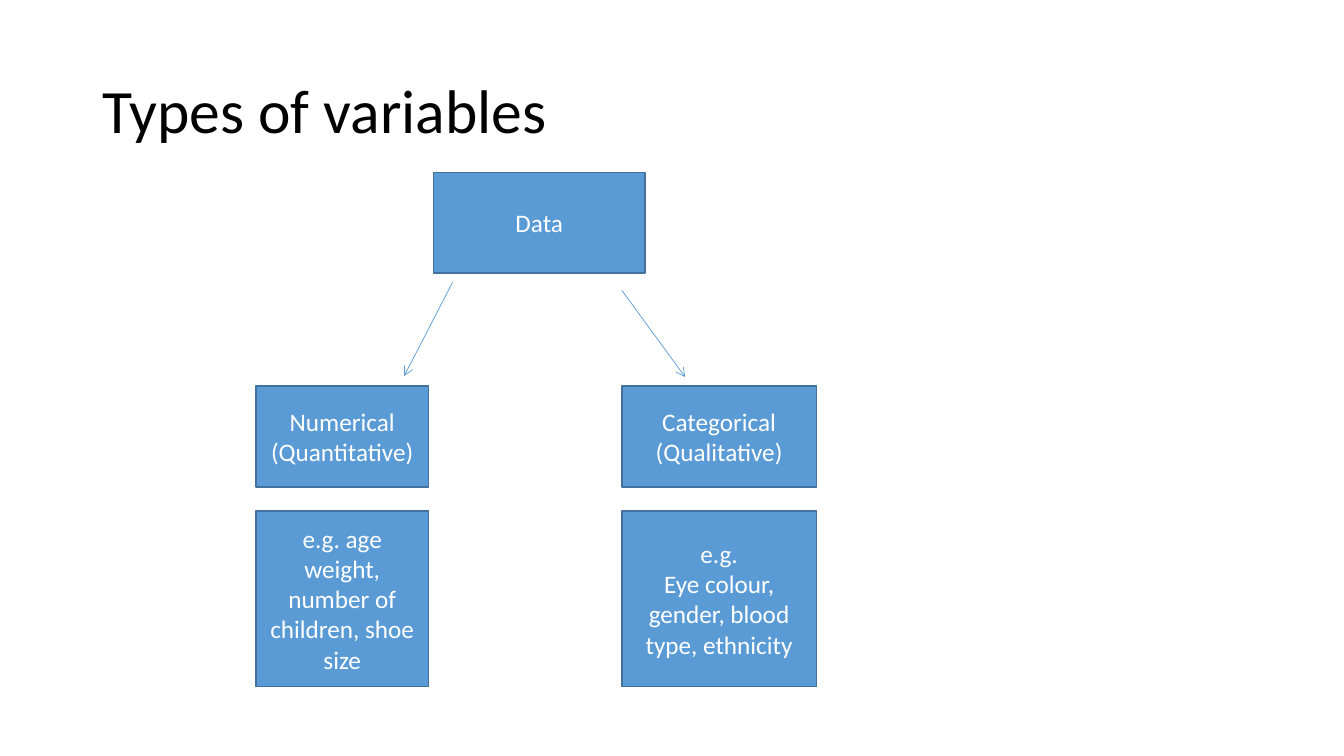
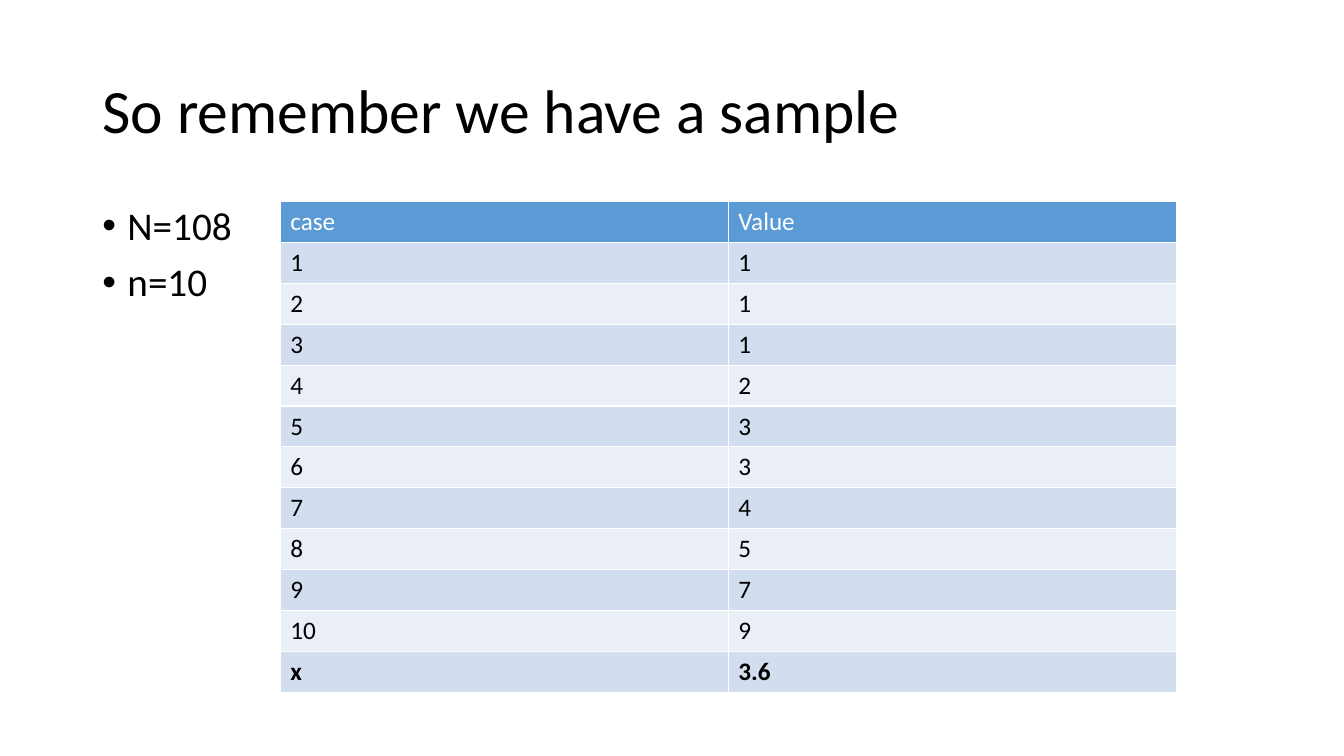
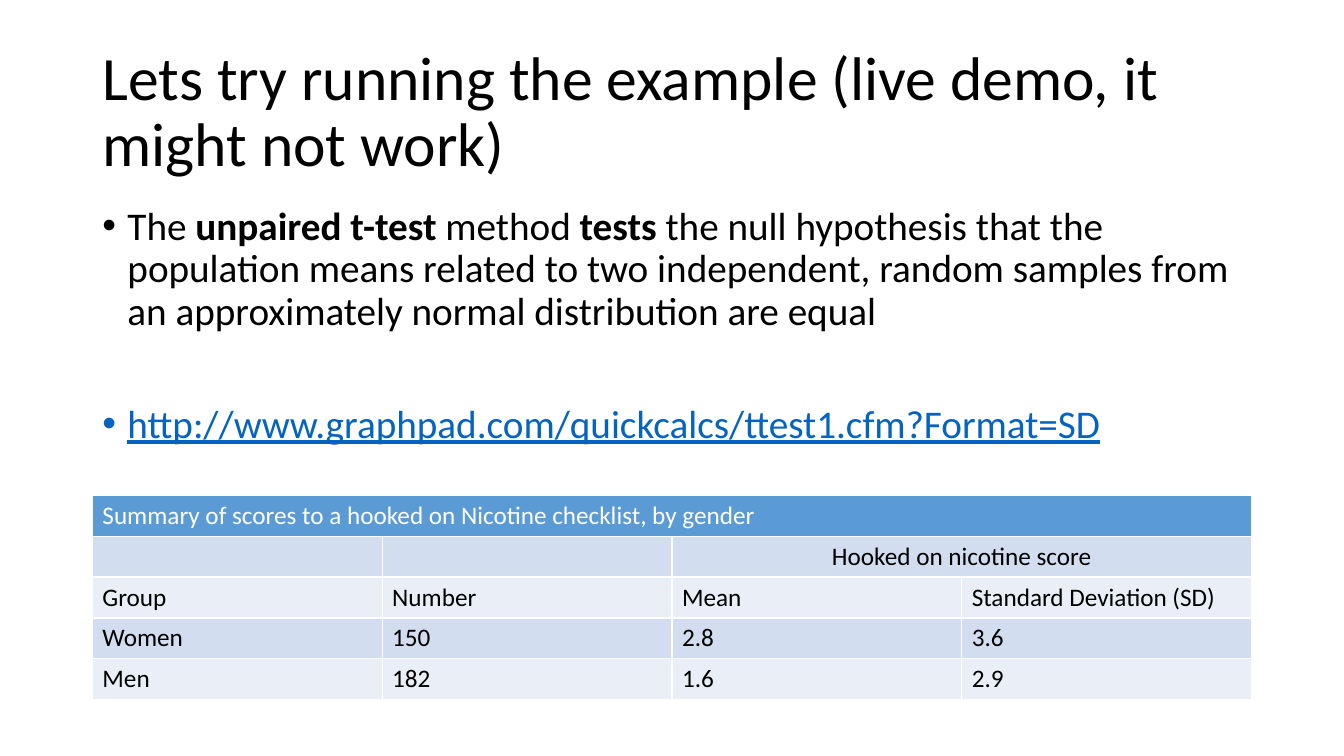
from dataclasses import dataclass

from lxml import etree
from pptx import Presentation
from pptx.dml.color import RGBColor
from pptx.enum import shapes, text
from pptx.oxml.ns import qn
from pptx.util import Pt


@dataclass(frozen=True)
class Theme:
    font: str = "Calibri"
    black: str = "000000"
    white: str = "FFFFFF"
    accent: str = "5B9BD5"
    outline: str = "41719C"
    link: str = "0563C1"
    bands: tuple = ("D2DEEF", "EAEFF7")
    title_size: float = 44
    body_size: float = 28
    small_size: float = 18
    line_spacing: float = 0.9
    left: float = 66
    width: float = 828
    row_height: float = 29.2


THEME = Theme()


def rgb(value):
    return RGBColor.from_string(value)


def style_run(run, size, color, bold=False, underline=False):
    font = run.font
    font.name, font.size = THEME.font, Pt(size)
    font.color.rgb = rgb(color)
    font.bold, font.underline = bold, underline


def style_frame(text_frame, size, color, align, bold=False):
    for paragraph in text_frame.paragraphs:
        paragraph.alignment = align
        for run in paragraph.runs:
            style_run(run, size, color, bold)


# Slide with its title
def add_slide(presentation, title_text):
    slide = presentation.slides.add_slide(presentation.slide_layouts[5])
    title = slide.shapes.title
    title.left, title.top = Pt(THEME.left), Pt(28.8)
    title.width, title.height = Pt(THEME.width), Pt(104.4)
    text_frame = title.text_frame
    text_frame.text = title_text
    text_frame.word_wrap = True
    text_frame.auto_size = text.MSO_AUTO_SIZE.NONE
    text_frame.vertical_anchor = text.MSO_ANCHOR.MIDDLE
    text_frame.paragraphs[0].line_spacing = THEME.line_spacing
    style_frame(text_frame, THEME.title_size, THEME.black, text.PP_ALIGN.LEFT)
    return slide


# Diagram parts
def add_box(slide, label, left, top, width, height):
    shape = slide.shapes.add_shape(
        shapes.MSO_SHAPE.RECTANGLE, Pt(left), Pt(top), Pt(width), Pt(height))
    shape.shadow.inherit = False
    shape.fill.solid()
    shape.fill.fore_color.rgb = rgb(THEME.accent)
    shape.line.color.rgb = rgb(THEME.outline)
    shape.line.width = Pt(1)
    shape.text_frame.text = label
    shape.text_frame.word_wrap = True
    style_frame(shape.text_frame, THEME.small_size, THEME.white, text.PP_ALIGN.CENTER)


def add_arrow(slide, start, end):
    connector = slide.shapes.add_connector(
        shapes.MSO_CONNECTOR.STRAIGHT, *(Pt(value) for value in start + end))
    connector.line.color.rgb = rgb(THEME.accent)
    connector.line.width = Pt(0.5)
    properties = connector._element.spPr
    etree.SubElement(properties.find(qn("a:ln")), qn("a:tailEnd"), type="arrow")
    etree.SubElement(properties, qn("a:effectLst"))


# Bulleted text: each item is (space before, [(text, run format), ...])
def add_bullets(slide, items, width, height):
    box = slide.shapes.add_textbox(Pt(THEME.left), Pt(144), Pt(width), Pt(height))
    text_frame = box.text_frame
    text_frame.word_wrap = True
    for index, (space_before, pieces) in enumerate(items):
        paragraph = text_frame.add_paragraph() if index else text_frame.paragraphs[0]
        properties = paragraph._p.get_or_add_pPr()
        properties.set("marL", str(Pt(18)))
        properties.set("indent", str(Pt(-18)))
        etree.SubElement(properties, qn("a:buFont"), typeface="Arial")
        etree.SubElement(properties, qn("a:buChar"), char="•")
        paragraph.line_spacing = THEME.line_spacing
        paragraph.space_before = Pt(space_before)
        for content, run_format in pieces:
            run = paragraph.add_run()
            run.text = content
            style_run(run, THEME.body_size, **{"color": THEME.black, **run_format})


# Banded tables
def add_borders(cell):
    properties = cell._tc.get_or_add_tcPr()
    for side in ("lnL", "lnR", "lnT", "lnB"):
        line = etree.SubElement(properties, qn(f"a:{side}"), w=str(Pt(1)))
        fill = etree.SubElement(line, qn("a:solidFill"))
        etree.SubElement(fill, qn("a:srgbClr"), val=THEME.white)


def add_table(slide, rows, left, top, column_width, bold_row=None):
    columns = len(rows[0])
    table = slide.shapes.add_table(
        len(rows), columns, Pt(left), Pt(top),
        Pt(column_width * columns), Pt(THEME.row_height * len(rows))).table
    for column in table.columns:
        column.width = Pt(column_width)
    for row_index, values in enumerate(rows):
        table.rows[row_index].height = Pt(THEME.row_height)
        header = row_index == 0
        fill = THEME.accent if header else THEME.bands[(row_index - 1) % 2]
        color = THEME.white if header else THEME.black
        for column_index, value in enumerate(values):
            cell = table.cell(row_index, column_index)
            add_borders(cell)
            cell.fill.solid()
            cell.fill.fore_color.rgb = rgb(fill)
            cell.text_frame.text = value
            style_frame(cell.text_frame, THEME.small_size, color,
                        text.PP_ALIGN.LEFT, row_index == bold_row)
    return table


# Slides
def build_variables(presentation):
    slide = add_slide(presentation, "Types of variables")
    add_box(slide, "Data", 309.6, 123.1, 151.2, 72)
    branches = (
        (182.9, 123.1, "Numerical\n(Quantitative)",
         "e.g. age weight, number of children, shoe size"),
        (444.2, 139, "Categorical\n(Qualitative)",
         "e.g.\nEye colour, gender, blood type, ethnicity"),
    )
    for left, width, kind, examples in branches:
        add_box(slide, kind, left, 275.8, width, 72)
        add_box(slide, examples, left, 365, width, 125.3)
    add_arrow(slide, (444.2, 207.4), (489.4, 269.3))
    add_arrow(slide, (323.3, 201.6), (288.7, 268.6))


def build_sample(presentation):
    slide = add_slide(presentation, "So remember we have a sample")
    add_bullets(slide, [(0, [("N=108", {})]), (10, [("n=10", {})])], 130, 342)
    values = (1, 1, 1, 2, 3, 3, 4, 5, 7, 9)
    cases = [(str(case), str(value)) for case, value in enumerate(values, 1)]
    rows = [("case", "Value"), *cases, ("x", "3.6")]
    add_table(slide, rows, 200.2, 144, 320, bold_row=len(rows) - 1)


def build_demo(presentation):
    slide = add_slide(
        presentation, "Lets try running the example (live demo, it might not work)")
    add_bullets(slide, [
        (0, [("The ", {}), ("unpaired t-test", {"bold": True}), (" method ", {}),
             ("tests", {"bold": True}),
             (" the null hypothesis that the population means related to two "
              "independent, random samples from an approximately normal "
              "distribution are equal", {})]),
        (50.7, [("http://www.graphpad.com/quickcalcs/ttest1.cfm?Format=SD",
                 {"color": THEME.link, "underline": True})]),
    ], THEME.width, 200)
    table = add_table(slide, [
        ("Summary of scores to a hooked on Nicotine checklist, by gender", "", "", ""),
        ("", "", "Hooked on nicotine score", ""),
        ("Group", "Number", "Mean", "Standard Deviation (SD)"),
        ("Women", "150", "2.8", "3.6"),
        ("Men", "182", "1.6", "2.9"),
    ], THEME.left, 353.8, THEME.width / 4)
    table.cell(0, 0).merge(table.cell(0, 3))
    score = table.cell(1, 2)
    score.merge(table.cell(1, 3))
    score.text_frame.paragraphs[0].alignment = text.PP_ALIGN.CENTER


def main():
    presentation = Presentation()
    presentation.slide_width, presentation.slide_height = Pt(960), Pt(540)
    build_variables(presentation)
    build_sample(presentation)
    build_demo(presentation)
    presentation.save("out.pptx")


if __name__ == "__main__":
    main()
